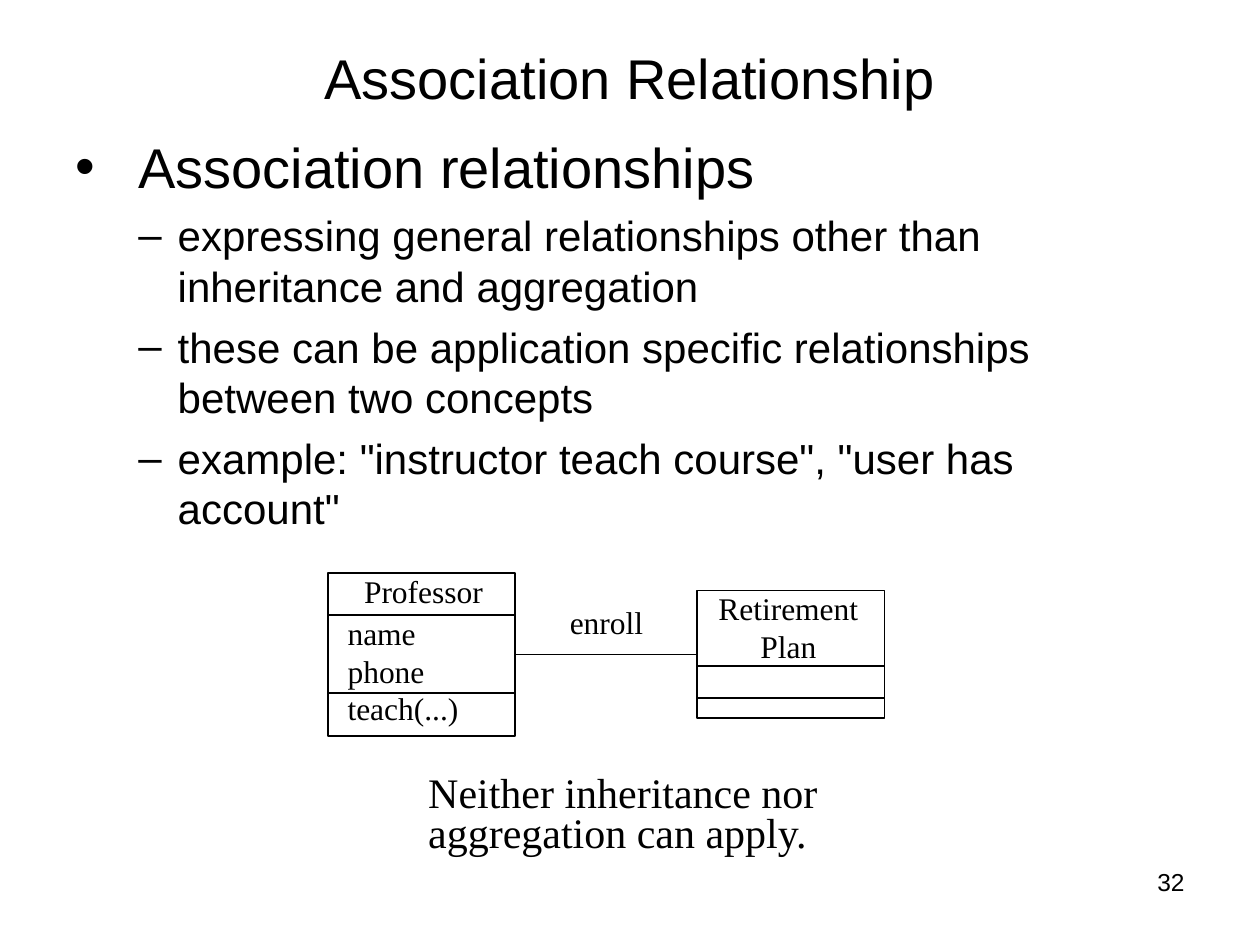
from pptx import Presentation
from pptx.dml.color import RGBColor
from pptx.enum.shapes import MSO_CONNECTOR, MSO_SHAPE
from pptx.enum.text import MSO_ANCHOR, PP_ALIGN
from pptx.oxml.ns import qn
from pptx.util import Pt

BLACK = RGBColor(0x00, 0x00, 0x00)
SANS, SERIF = "Arial", "Times New Roman"
LEFT, CENTER, RIGHT = PP_ALIGN.LEFT, PP_ALIGN.CENTER, PP_ALIGN.RIGHT
MIDDLE = MSO_ANCHOR.MIDDLE
STRAIGHT, RECTANGLE = MSO_CONNECTOR.STRAIGHT, MSO_SHAPE.RECTANGLE


def add_text_frame(page, box):
    """Add an empty wrapping text box and return its text frame."""
    frame = page.shapes.add_textbox(*map(Pt, box)).text_frame
    frame.word_wrap = True
    return frame


def add_para(frame, text, size, font, align=LEFT, spacing=None):
    """Write one paragraph, using the frame's first one while it is empty."""
    para = frame.paragraphs[0]
    if para.runs:
        para = frame.add_paragraph()
    para.alignment = align
    if spacing:
        para.line_spacing = spacing
    span = para.add_run()
    span.text = text
    span.font.size = Pt(size)
    span.font.name = font
    span.font.color.rgb = BLACK
    return para


def set_bullet(para, mark, margin, hang):
    """Give a paragraph a bullet with a hanging indent."""
    properties = para._p.get_or_add_pPr()
    properties.set("marL", str(Pt(margin)))
    properties.set("indent", str(-Pt(hang)))
    font = properties.makeelement(qn("a:buFont"), {"typeface": SANS})
    bullet = properties.makeelement(qn("a:buChar"), {"char": mark})
    properties.extend([font, bullet])


def add_line(page, start, end):
    """Draw a thin black straight line without a shadow."""
    line = page.shapes.add_connector(STRAIGHT, *map(Pt, start + end))
    line.line.color.rgb = BLACK
    line.line.width = Pt(1)
    properties = line._element.spPr
    properties.append(properties.makeelement(qn("a:effectLst"), {}))
    return line


def add_title(page, box, text):
    """Place the centred slide title."""
    frame = add_text_frame(page, box)
    frame.vertical_anchor = MIDDLE
    add_para(frame, text, 32, SANS, CENTER)


def add_bullets(page, box, heading, points):
    """Place a main bullet with its sub-points."""
    frame = add_text_frame(page, box)
    para = add_para(frame, heading, 32, SANS)
    para.space_before = Pt(8)
    set_bullet(para, "•", 36, 36)
    for point in points:
        para = add_para(frame, point, 24, SANS)
        para.level = 1
        para.space_before = Pt(6)
        set_bullet(para, "–", 58.5, 22.5)


def add_class(page, box, text_box, name, members, dividers):
    """Draw a UML class with dividers at the given depths and return its outline."""
    left, top, width, _ = box
    outline = page.shapes.add_shape(RECTANGLE, *map(Pt, box))
    outline.shadow.inherit = False
    outline.fill.background()
    outline.line.color.rgb = BLACK
    outline.line.width = Pt(1)
    frame = add_text_frame(page, text_box)
    add_para(frame, name, 18, SERIF, CENTER)
    for index, member in enumerate(members):
        add_para(frame, member, 18, SERIF, spacing=None if index else 1.1)
    for depth in dividers:
        add_line(page, (left, top + depth), (left + width, top + depth))
    return outline


def add_association(page, source, target, label_box, label):
    """Join two classes side to side and label the line."""
    middle = source.top.pt + source.height.pt / 2
    start = source.left.pt + source.width.pt
    line = add_line(page, (start, middle), (target.left.pt, middle))
    line.begin_connect(source, 3)
    line.end_connect(target, 1)
    add_para(add_text_frame(page, label_box), label, 18, SERIF)


def add_diagram(page, left, top):
    """Draw the two associated classes from the given corner."""
    professor = add_class(
        page, (left, top, 107, 93), (left + 4, top - 4, 101, 96),
        "Professor", ["name", "phone", "teach(...)"], [24, 68.5])
    plan = add_class(
        page, (left + 211, top + 10, 107, 73), (left + 209.5, top + 5.5, 107, 76),
        "Retirement Plan", [], [43, 61.5])
    add_association(page, professor, plan, (left + 131, top + 13.5, 70, 29), "enroll")


def main():
    """Build the slide and save it."""
    deck = Presentation()
    deck.slide_width, deck.slide_height = Pt(720), Pt(540)
    page = deck.slides.add_slide(deck.slide_layouts[6])
    add_title(page, (36, 21.6, 648, 44.6), "Association Relationship")
    add_bullets(page, (36, 72, 640, 247.7), "Association relationships", [
        "expressing general relationships other than inheritance and aggregation",
        "these can be application specific relationships between two concepts",
        'example: "instructor teach course", "user has account"',
    ])
    add_diagram(page, 187.5, 327.5)
    note = add_text_frame(page, (237.6, 440, 258.5, 53.3))
    add_para(note, "Neither inheritance nor aggregation can apply.", 24, SERIF, spacing=0.8)
    number = add_text_frame(page, (516, 492, 168, 37.5))
    add_para(number, "32", 14, SANS, RIGHT)
    deck.save("out.pptx")


if __name__ == "__main__":
    main()
